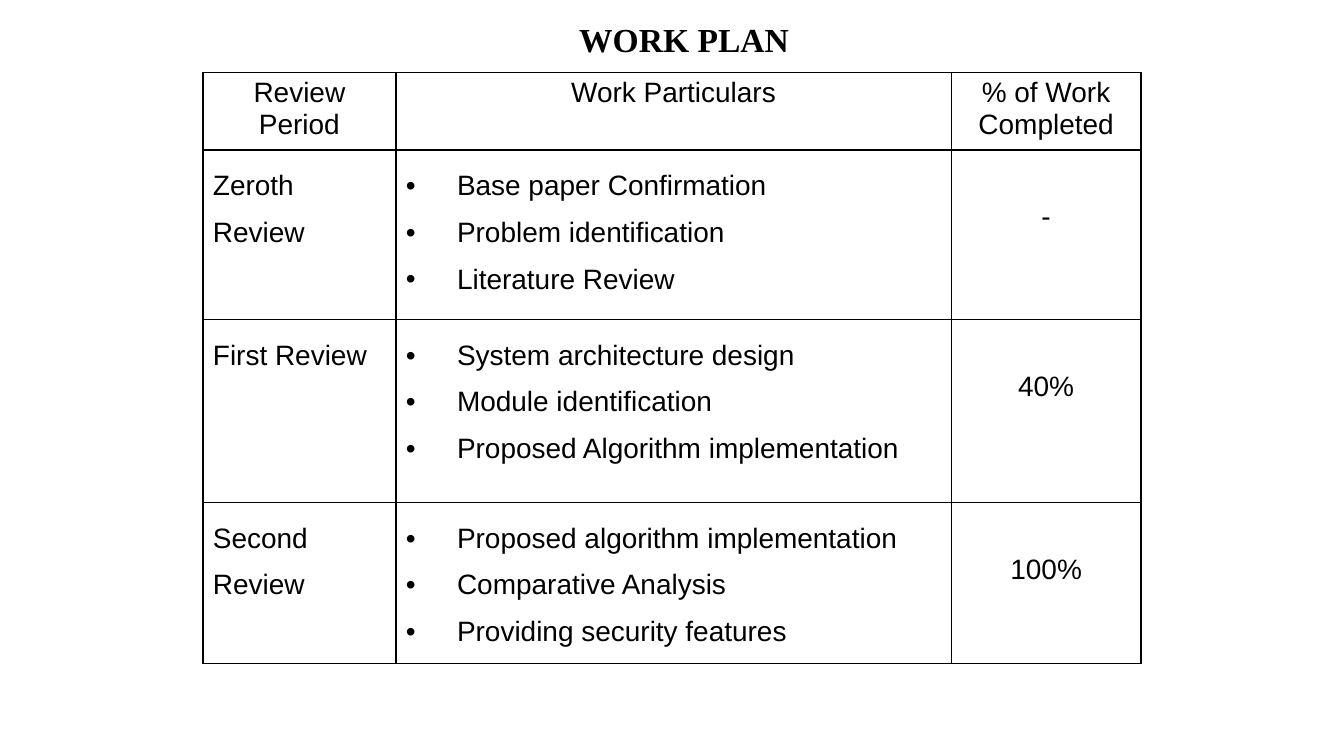
from dataclasses import dataclass

from pptx import Presentation
from pptx.dml.color import RGBColor
from pptx.enum.text import MSO_ANCHOR as Anchor, PP_ALIGN as Align
from pptx.oxml import parse_xml
from pptx.oxml.ns import nsdecls
from pptx.util import Emu, Inches, Pt

BLACK = RGBColor(0x00, 0x00, 0x00)
WHITE = RGBColor(0xFF, 0xFF, 0xFF)

SLIDE_WIDTH = Inches(10)
SLIDE_HEIGHT = Emu(SLIDE_WIDTH * 9 // 16)
BORDER = Pt(0.75)
BULLET_INDENT = Inches(0.38)
COLUMN_SHARES = (14.36, 41.32, 14.12)
ROW_SHARES = (9.66, 22.42, 24.2, 19.84)
HEADINGS = ("Review Period", "Work Particulars", "% of Work Completed")

INSETS = {
    "margin_left": Pt(5.4),
    "margin_right": Pt(5.4),
    "margin_top": Pt(2.7),
    "margin_bottom": Pt(2.7),
}
TITLE_FRAME = INSETS | {"vertical_anchor": Anchor.MIDDLE, "word_wrap": True}
PROGRESS_INSETS = INSETS | {"margin_top": Pt(19.3)}
TITLE_FONT = {"name": "Times New Roman", "size": Pt(18), "bold": True}
BODY_FONT = {"name": "Arial", "size": Pt(15), "bold": False}
CENTERED = {"alignment": Align.CENTER}
SPACED = {"line_spacing": 1.5}


@dataclass(frozen=True)
class Review:
    period: str
    particulars: tuple[str, ...]
    progress: str


REVIEWS = (
    Review(
        "Zeroth Review",
        ("Base paper Confirmation", "Problem identification", "Literature Review"),
        "-",
    ),
    Review(
        "First Review",
        (
            "System architecture design",
            "Module identification",
            "Proposed Algorithm implementation",
        ),
        "40%",
    ),
    Review(
        "Second Review",
        (
            "Proposed algorithm implementation",
            "Comparative Analysis",
            "Providing security features",
        ),
        "100%",
    ),
)


def across(share: float) -> Emu:
    return Emu(round(SLIDE_WIDTH * share / 100))


def down(share: float) -> Emu:
    return Emu(round(SLIDE_HEIGHT * share / 100))


def apply_format(target, values: dict) -> None:
    for attribute, value in values.items():
        setattr(target, attribute, value)


def write_lines(frame, lines: tuple[str, ...], layout: dict, font: dict) -> None:
    for index, line in enumerate(lines):
        paragraph = frame.add_paragraph() if index else frame.paragraphs[0]
        apply_format(paragraph, layout)
        run = paragraph.add_run()
        run.text = line
        apply_format(run.font, font)
        run.font.color.rgb = BLACK


def add_bullets(frame) -> None:
    for paragraph in frame.paragraphs:
        properties = paragraph._p.get_or_add_pPr()
        properties.set("marL", str(BULLET_INDENT))
        properties.set("indent", str(-BULLET_INDENT))
        for markup in (
            f'<a:buClr {nsdecls("a")}><a:srgbClr val="{BLACK}"/></a:buClr>',
            f'<a:buFont {nsdecls("a")} typeface="Arial"/>',
            f'<a:buChar {nsdecls("a")} char="•"/>',
        ):
            properties.append(parse_xml(markup))


def outline_cell(cell) -> None:
    cell.fill.background()
    properties = cell._tc.get_or_add_tcPr()
    for index, side in enumerate(("lnL", "lnR", "lnT", "lnB")):
        border = parse_xml(
            f'<a:{side} {nsdecls("a")} w="{BORDER}"><a:solidFill>'
            f'<a:srgbClr val="{BLACK}"/></a:solidFill></a:{side}>'
        )
        properties.insert(index, border)


def fill_cell(cell, lines: tuple[str, ...], layout: dict, insets: dict = INSETS) -> None:
    apply_format(cell, insets)
    write_lines(cell.text_frame, lines, layout, BODY_FONT)
    outline_cell(cell)


def add_title(slide, text: str) -> None:
    title = slide.shapes.add_textbox(across(22.2), down(0.7), across(57.4), down(8.9))
    apply_format(title.text_frame, TITLE_FRAME)
    write_lines(title.text_frame, (text,), CENTERED, TITLE_FONT)


def add_plan(slide, reviews: tuple[Review, ...]) -> None:
    plan = slide.shapes.add_table(
        len(ROW_SHARES),
        len(COLUMN_SHARES),
        across(15.1),
        down(9.6),
        across(sum(COLUMN_SHARES)),
        down(sum(ROW_SHARES)),
    ).table
    apply_format(plan, {"first_row": False, "horz_banding": False})
    for column, share in zip(plan.columns, COLUMN_SHARES):
        column.width = across(share)
    for row, share in zip(plan.rows, ROW_SHARES):
        row.height = down(share)

    for column, heading in enumerate(HEADINGS):
        fill_cell(plan.cell(0, column), (heading,), CENTERED)
    for row, review in enumerate(reviews, start=1):
        period, particulars, progress = (plan.cell(row, column) for column in range(3))
        fill_cell(period, (review.period,), SPACED)
        fill_cell(particulars, review.particulars, SPACED)
        add_bullets(particulars.text_frame)
        fill_cell(progress, (review.progress,), CENTERED | SPACED, PROGRESS_INSETS)


def main() -> None:
    presentation = Presentation()
    apply_format(
        presentation, {"slide_width": SLIDE_WIDTH, "slide_height": SLIDE_HEIGHT}
    )
    slide = presentation.slides.add_slide(presentation.slide_layouts[6])
    slide.background.fill.solid()
    slide.background.fill.fore_color.rgb = WHITE
    add_title(slide, "WORK PLAN")
    add_plan(slide, REVIEWS)
    presentation.save("out.pptx")


if __name__ == "__main__":
    main()
